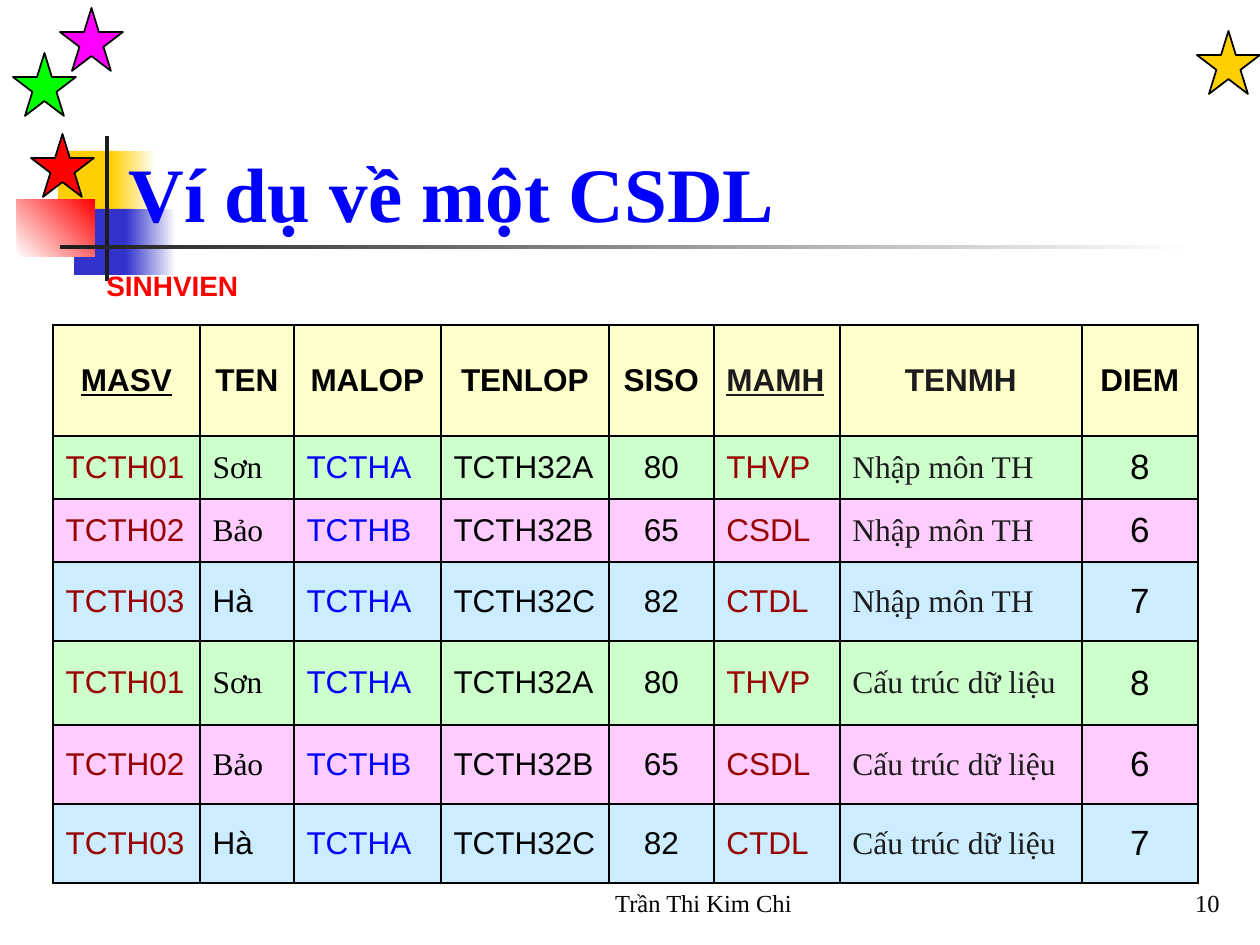
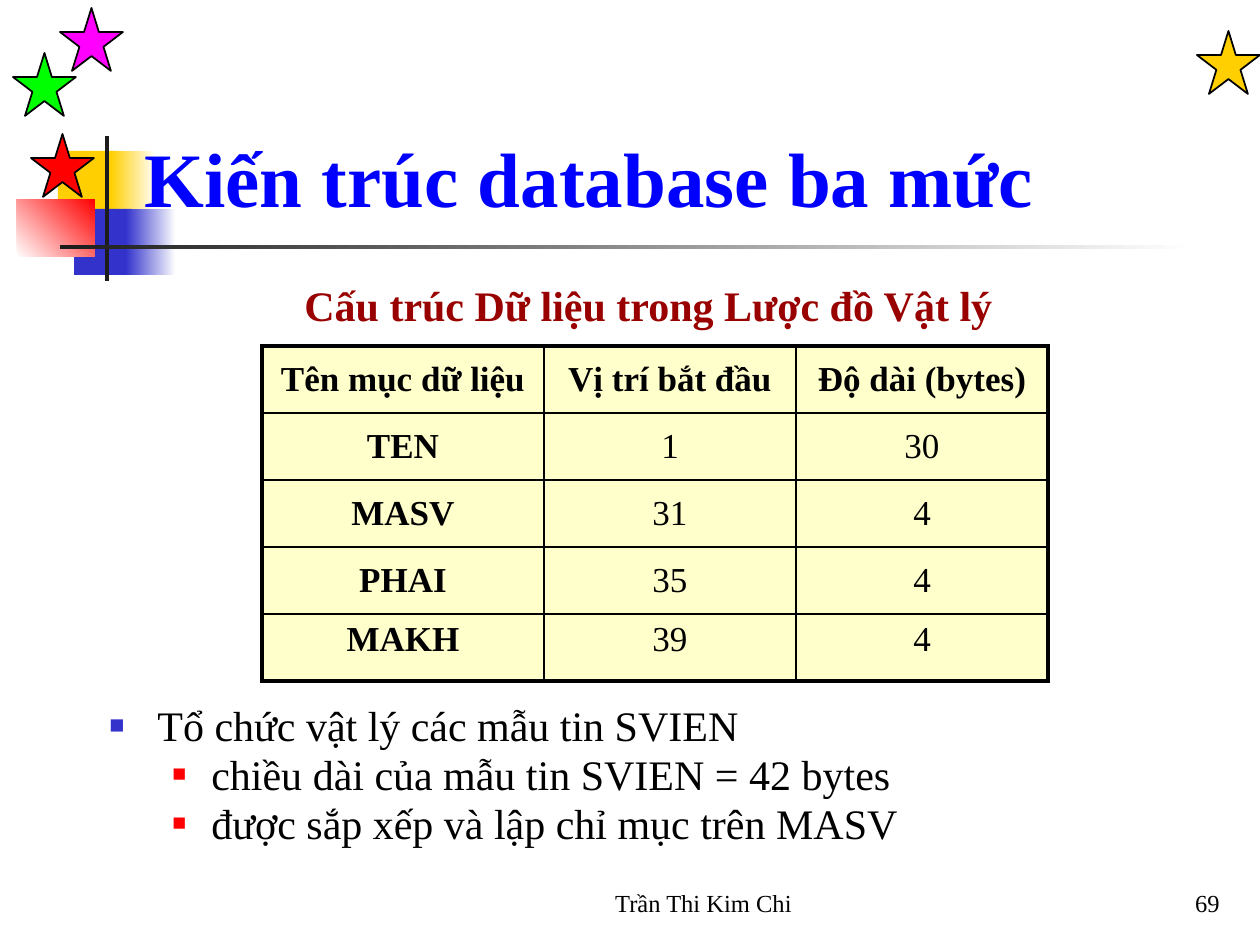
from lxml import etree
from pptx import Presentation
from pptx.dml.color import RGBColor
from pptx.enum.shapes import MSO_SHAPE
from pptx.enum.text import MSO_ANCHOR, MSO_AUTO_SIZE, PP_ALIGN
from pptx.oxml.ns import qn
from pptx.util import Emu, Pt

RECT, STAR = MSO_SHAPE.RECTANGLE, MSO_SHAPE.STAR_5_POINT
LEFT, CENTER, RIGHT = PP_ALIGN.LEFT, PP_ALIGN.CENTER, PP_ALIGN.RIGHT
TOP, MIDDLE, BOTTOM = MSO_ANCHOR.TOP, MSO_ANCHOR.MIDDLE, MSO_ANCHOR.BOTTOM
NO_FIT = MSO_AUTO_SIZE.NONE

# Shared colours and fonts
SANS, SERIF = "Arial", "Times New Roman"
BLACK, WHITE, INK = "000000", "FFFFFF", "1C1C1C"
BLUE, RED, MAROON = "0000FF", "FF0000", "990000"
GOLD, INDIGO, GREEN, MAGENTA = "FFCF01", "3333CC", "00FF00", "FF00FF"
CREAM, MINT, PINK, SKY = "FFFFCC", "CCFFCC", "FFCCFF", "CCECFF"

# Shared decoration: box in px, gradient colours (one means solid), angle
BARS = [
    ((58, 151, 60, 66), (GOLD,), 0),
    ((111, 151, 45, 66), (GOLD, WHITE), 0),
    ((74, 209, 58, 66), (INDIGO,), 0),
    ((126, 209, 50, 66), (INDIGO, WHITE), 0),
    ((17, 199, 78, 58), (WHITE, RED), 45),
    ((105, 136, 4, 145), (INK,), 0),
    ((60, 245, 1134, 4), (INK, WHITE), 0),
]
STARS = [(1197, 31, GOLD), (31, 134, RED), (13, 53, GREEN), (60, 8, MAGENTA)]
STAR_SIZE = 63
AUTHOR = "Trần Thi Kim Chi"
AUTHOR_BOX, NUMBER_BOX = (504, 861, 399, 63), (970, 861, 262, 63)

# Slide 1: student database
EXAMPLE = {"title": "Ví dụ về một CSDL", "box": (116, 158, 1144, 68),
           "anchor": MIDDLE, "number": "10"}
RELATION = "SINHVIEN"
FIELDS = ["MASV", "TEN", "MALOP", "TENLOP", "SISO", "MAMH", "TENMH", "DIEM"]
KEYS = ("MASV", "MAMH")
STUDENTS = [
    ("TCTH01", "Sơn", "TCTHA", "TCTH32A", "80", "THVP", "8"),
    ("TCTH02", "Bảo", "TCTHB", "TCTH32B", "65", "CSDL", "6"),
    ("TCTH03", "Hà", "TCTHA", "TCTH32C", "82", "CTDL", "7"),
]
SUBJECTS = ["Nhập môn TH", "Cấu trúc dữ liệu"]
STUDENT_FILLS = [MINT, PINK, SKY]
FIELD_COLORS = {"MASV": MAROON, "MALOP": BLUE, "MAMH": MAROON, "TENMH": INK}
STUDENT_COLS = [147, 94, 147, 168, 105, 126, 242, 116]
STUDENT_ROWS = [111, 63, 63, 79, 84, 79, 79]

# Slide 2: physical schema
SCHEMA = {"title": "Kiến trúc database ba mức", "box": (132, 84, 1128, 145),
          "anchor": BOTTOM, "number": "69"}
SCHEMA_HEADING = "Cấu trúc Dữ liệu trong Lược đồ Vật lý"
ITEMS = [
    ("Tên mục dữ liệu", "Vị trí bắt đầu", "Độ dài (bytes)"),
    ("TEN", "1", "30"),
    ("MASV", "31", "4"),
    ("PHAI", "35", "4"),
    ("MAKH", "39", "4"),
]
ITEM_COLS, ITEM_ROW = [282, 252, 252], 67
NOTES = [
    (0, "Tổ chức vật lý các mẫu tin SVIEN"),
    (1, "chiều dài của mẫu tin SVIEN = 42 bytes"),
    (1, "được sắp xếp và lập chỉ mục trên MASV"),
]
# Per level: left margin px, hanging px, bullet colour, bullet size %
BULLETS = [(48, 48, INDIGO, 60), (102, 39, RED, 55)]


def px(value):
    return Emu(round(value * 914400 / 126))


def rgb(color):
    return RGBColor.from_string(color)


def write(paragraph, text, size=18, color=BLACK, font=SERIF, bold=False,
          underline=False, align=LEFT):
    paragraph.alignment = align
    run = paragraph.add_run()
    run.text = text
    style = run.font
    style.size, style.name, style.bold = Pt(size), font, bold
    style.underline = underline
    style.color.rgb = rgb(color)


def add_text(slide, box, text, anchor=MIDDLE, wrap=True, **style):
    frame = slide.shapes.add_textbox(*map(px, box)).text_frame
    frame.word_wrap, frame.vertical_anchor = wrap, anchor
    write(frame.paragraphs[0], text, **style)


def add_figure(slide, kind, box, colors, angle=0, outline=None):
    figure = slide.shapes.add_shape(kind, *map(px, box))
    figure.shadow.inherit = False
    if len(colors) == 1:
        figure.fill.solid()
        figure.fill.fore_color.rgb = rgb(colors[0])
    else:
        figure.fill.gradient()
        figure.fill.gradient_angle = angle
        for stop, color in zip(figure.fill.gradient_stops, colors):
            stop.color.rgb = rgb(color)
    if outline:
        figure.line.color.rgb = rgb(outline)
        figure.line.width = Pt(1)
    else:
        figure.line.fill.background()


def new_slide(deck, content):
    slide = deck.slides.add_slide(deck.slide_layouts[5])
    for box, colors, angle in BARS:
        add_figure(slide, RECT, box, colors, angle)
    for x, y, color in STARS:
        add_figure(slide, STAR, (x, y, STAR_SIZE, STAR_SIZE), (color,), outline=BLACK)
    # The title lies over the decoration
    title = slide.shapes.title
    title.element.getparent().append(title.element)
    title.left, title.top, title.width, title.height = map(px, content["box"])
    frame = title.text_frame
    frame.auto_size, frame.word_wrap = NO_FIT, True
    frame.vertical_anchor = content["anchor"]
    write(frame.paragraphs[0], content["title"], size=44, color=BLUE, bold=True)
    # Footer
    add_text(slide, AUTHOR_BOX, AUTHOR, BOTTOM, size=14, align=CENTER)
    add_text(slide, NUMBER_BOX, content["number"], BOTTOM, size=14, align=RIGHT)
    return slide


def add_grid(slide, left, top, widths, heights):
    table = slide.shapes.add_table(
        len(heights), len(widths), px(left), px(top),
        px(sum(widths)), px(sum(heights))).table
    table.first_row = table.horz_banding = False
    for column, width in zip(table.columns, widths):
        column.width = px(width)
    for row, height in zip(table.rows, heights):
        row.height = px(height)
    return table


def fill_cell(cell, text, fill, borders=(1, 1, 1, 1), anchor=MIDDLE, **style):
    """Borders are widths in points: left, right, top, bottom."""
    properties = cell._tc.get_or_add_tcPr()
    for side, width in zip("LRTB", borders):
        line = etree.SubElement(properties, qn(f"a:ln{side}"), w=str(Pt(width)))
        solid = etree.SubElement(line, qn("a:solidFill"))
        etree.SubElement(solid, qn("a:srgbClr"), val=BLACK)
    cell.fill.solid()
    cell.fill.fore_color.rgb = rgb(fill)
    cell.vertical_anchor = anchor
    write(cell.text_frame.paragraphs[0], text, **style)


def add_bullet(paragraph, level):
    margin, hanging, color, percent = BULLETS[level]
    paragraph.level = level
    paragraph.line_spacing, paragraph.space_before = 0.8, Pt(5)
    properties = paragraph._p.get_or_add_pPr()
    properties.set("marL", str(px(margin)))
    properties.set("indent", str(-px(hanging)))
    tint = etree.SubElement(properties, qn("a:buClr"))
    etree.SubElement(tint, qn("a:srgbClr"), val=color)
    etree.SubElement(properties, qn("a:buSzPct"), val=str(percent * 1000))
    etree.SubElement(properties, qn("a:buFont"), typeface=SANS)
    etree.SubElement(properties, qn("a:buChar"), char="■")


def build_example(deck):
    slide = new_slide(deck, EXAMPLE)
    add_text(slide, (94, 262, 158, 47), RELATION, wrap=False,
             size=16, color=RED, font=SANS, bold=True)
    table = add_grid(slide, 53, 325, STUDENT_COLS, STUDENT_ROWS)
    for c, field in enumerate(FIELDS):
        fill_cell(table.cell(0, c), field, CREAM, font=SANS, bold=True,
                  underline=field in KEYS,
                  color=INK if field in ("MAMH", "TENMH") else BLACK,
                  align=LEFT if field == "MAMH" else CENTER)
    # Every student takes every subject
    records = [(*student[:6], subject, student[6], fill)
               for subject in SUBJECTS
               for student, fill in zip(STUDENTS, STUDENT_FILLS)]
    for r, (*values, fill) in enumerate(records, 1):
        for c, (field, value) in enumerate(zip(FIELDS, values)):
            serif = field == "TENMH" or value in ("Sơn", "Bảo")
            fill_cell(table.cell(r, c), value, fill,
                      size=20 if field == "DIEM" else 18,
                      font=SERIF if serif else SANS,
                      color=FIELD_COLORS.get(field, BLACK),
                      align=CENTER if field in ("SISO", "DIEM") else LEFT)


def build_schema(deck):
    slide = new_slide(deck, SCHEMA)
    add_text(slide, (292, 239, 746, 97), SCHEMA_HEADING, BOTTOM,
             size=24, color=MAROON, bold=True)
    table = add_grid(slide, 262, 346, ITEM_COLS, [ITEM_ROW] * len(ITEMS))
    last_row, last_col = len(ITEMS) - 1, len(ITEM_COLS) - 1
    for r, item in enumerate(ITEMS):
        for c, value in enumerate(item):
            edges = (c == 0, c == last_col, r == 0, r == last_row)
            fill_cell(table.cell(r, c), value, CREAM,
                      borders=[2.25 if outer else 1 for outer in edges],
                      anchor=TOP if r == last_row else MIDDLE,
                      size=20, bold=r == 0 or c == 0, align=CENTER)
    # Notes under the table
    frame = slide.shapes.add_textbox(*map(px, (97, 703, 1163, 168))).text_frame
    frame.word_wrap = True
    for i, (level, note) in enumerate(NOTES):
        paragraph = frame.add_paragraph() if i else frame.paragraphs[0]
        write(paragraph, note, size=24)
        add_bullet(paragraph, level)


def main():
    deck = Presentation()
    deck.slide_width, deck.slide_height = px(1260), px(945)
    build_example(deck)
    build_schema(deck)
    deck.save("out.pptx")


if __name__ == "__main__":
    main()
